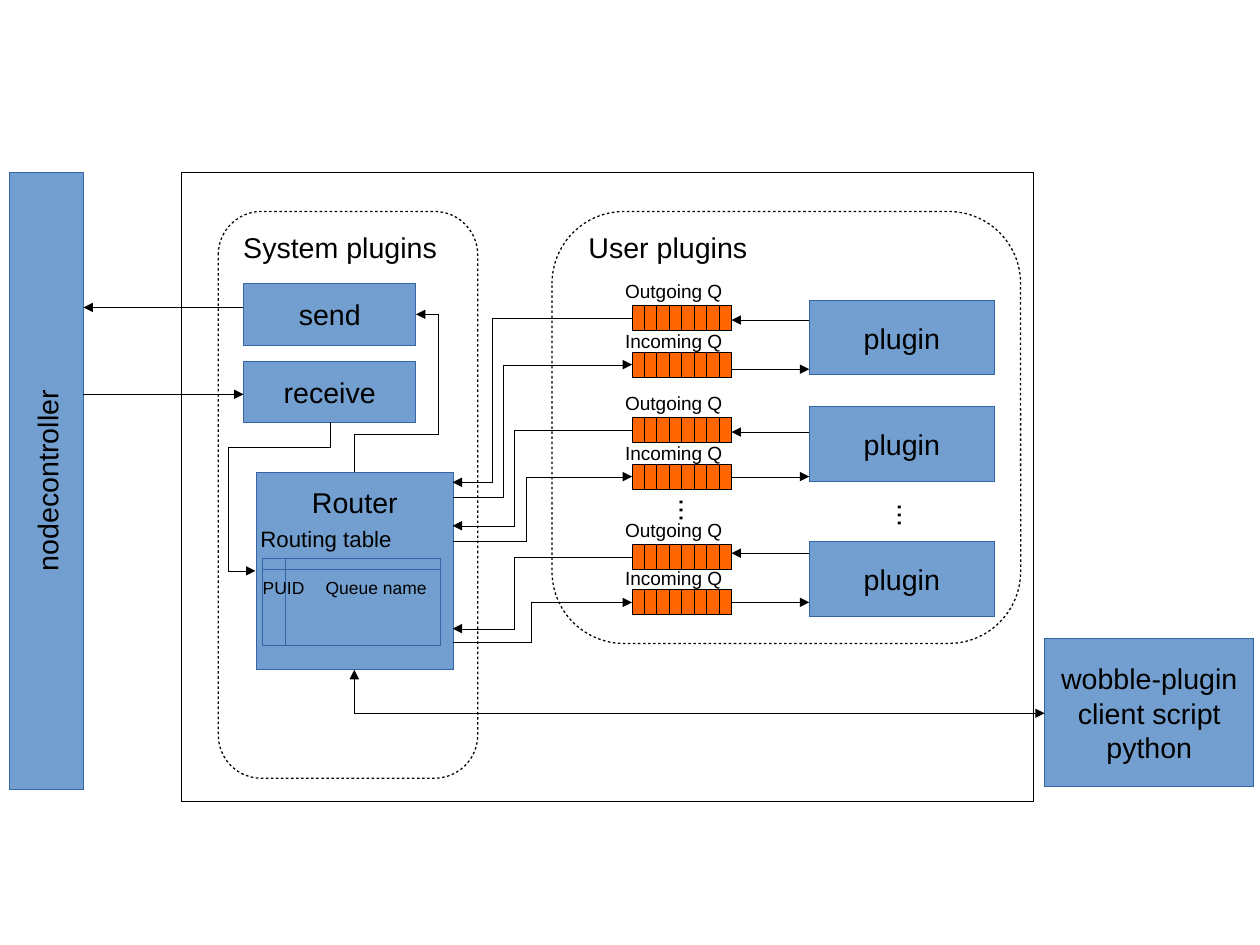
"""Draw the plugin message routing diagram on a grid of tenth-inch columns and rows."""
from dataclasses import dataclass

from lxml.etree import SubElement
from pptx import Presentation
from pptx.dml.color import RGBColor
from pptx.enum.shapes import MSO_CONNECTOR as Connector, MSO_SHAPE as Preset
from pptx.enum.text import MSO_ANCHOR as Anchor, PP_ALIGN as Align
from pptx.oxml.ns import qn
from pptx.util import Cm, Emu, Inches, Pt

BLACK, WHITE, BLUE, NAVY, ORANGE = "000000", "FFFFFF", "729FCF", "3465A4", "FF6600"
ROUTER_RIGHT, QUEUE_LEFT, QUEUE_RIGHT, PLUGIN_LEFT = 39.6, 55.3, 64.0, 70.8
CELLS, CELL_HEIGHT = 8, 2.2
CELL_WIDTH = (QUEUE_RIGHT - QUEUE_LEFT) / CELLS


@dataclass
class Block:
    left: float
    top: float
    width: float
    height: float
    text: str = ""
    fill: str = BLUE
    line: str = NAVY
    preset: Preset = Preset.RECTANGLE
    turn: int = 0
    dashed: bool = False
    anchor: Anchor = Anchor.MIDDLE


@dataclass
class Label:
    left: float
    top: float
    width: float
    height: float
    text: str
    size: int = 18
    turn: int = 0


@dataclass
class Elbow:
    left: float
    top: float
    width: float
    height: float
    preset: str
    turn: int
    flips: str = ""
    bends: tuple[float, ...] = ()
    ends: tuple[str, ...] = ("tailEnd",)


@dataclass
class Arrow:
    start: float
    end: float
    row: float


@dataclass
class Queue:
    name: str
    top: float
    label_rise: float
    lane: float
    router_row: float
    router_end: str
    plugin_arrow: Arrow


FRAMES = [
    Block(15.9, 15.1, 74.5, 55, fill=WHITE, line=BLACK),
    Block(48.3, 18.5, 41, 37.8, fill=WHITE, line=BLACK, preset=Preset.ROUNDED_RECTANGLE, dashed=True),
    Block(19.1, 18.5, 22.7, 49.6, fill=WHITE, line=BLACK, preset=Preset.ROUNDED_RECTANGLE, dashed=True),
]
COMPONENTS = [
    Block(-22.9, 38.8, 54, 6.5, "nodecontroller", turn=270),
    Block(91.4, 55.9, 18.3, 12.9, "wobble-plugin\nclient script\npython"),
    Block(21.3, 24.8, 15.1, 5.4, "send"),
    Block(21.3, 31.6, 15.1, 5.4, "receive"),
    Block(22.4, 41.3, 17.3, 17.3, "Router", anchor=Anchor.TOP),
    Block(23, 48.9, 15.5, 7.6, preset=Preset.FLOWCHART_INTERNAL_STORAGE),
    *(Block(PLUGIN_LEFT, top, 16.2, 6.5, "plugin") for top in (26.3, 35.6, 47.4)),
]
LABELS = [
    Label(20.3, 19.6, 20.4, 4.1, "System plugins"),
    Label(50.5, 19.6, 17.1, 4.1, "User plugins"),
    Label(77.3, 43.2, 4.4, 4.1, "...", turn=90),
    Label(58.2, 42.8, 4.4, 4.1, "...", turn=90),
    Label(21.8, 45.5, 14.6, 3.4, "Routing table", 14),
    Label(27.5, 50, 12.6, 2.9, "Queue name", 11),
    Label(22, 50, 7, 4.1, "PUID", 11),
]


def outgoing(top: float, lane: float, router_row: float, plugin_row: float) -> Queue:
    return Queue("Outgoing Q", top, 2.7, lane, router_row, "tailEnd",
                 Arrow(PLUGIN_LEFT, QUEUE_RIGHT, plugin_row))


def incoming(top: float, lane: float, router_row: float, plugin_row: float) -> Queue:
    return Queue("Incoming Q", top, 2.5, lane, router_row, "headEnd",
                 Arrow(QUEUE_RIGHT, PLUGIN_LEFT, plugin_row))


QUEUES = [
    outgoing(26.7, 43, 42.2, 28), incoming(30.8, 44, 43.5, 32.3),
    outgoing(36.5, 45, 46, 37.8), incoming(40.6, 46, 47.3, 41.7),
    outgoing(47.6, 45, 55, 48.4), incoming(51.6, 46.5, 56.2, 52.7),
]
ELBOWS = [
    Elbow(26.8, 31.7, 13.8, 5.4, "bentConnector4", 90, "HV", (0.24, 1.365)),
    Elbow(19.1, 40.2, 13, 6.5, "bentConnector4", 90, "", (0.167, 1.366)),
    Elbow(31, 58.6, 60.4, 3.8, "bentConnector2", 180, ends=("headEnd", "tailEnd")),
]
CONTROLLER_ARROWS = [Arrow(21.3, 7.3, 26.9), Arrow(7.3, 21.3, 34.5)]


def grid(*lengths: float) -> list[Emu]:
    return [Inches(length / 10) for length in lengths]


def color(code: str) -> RGBColor:
    return RGBColor.from_string(code)


def drop_theme_style(item) -> None:
    item._element.remove(item._element.find(qn("p:style")))


def write(box, text: str, size: int, align: Align) -> None:
    box.text_frame.text = text
    for para in box.text_frame.paragraphs:
        para.alignment = align
        for span in para.runs:
            span.font.name, span.font.size = "Arial", Pt(size)
            span.font.color.rgb = color(BLACK)


def draw_block(page, block: Block) -> None:
    box = page.shapes.add_shape(block.preset, *grid(block.left, block.top, block.width, block.height))
    drop_theme_style(box)
    box.shadow.inherit = False
    box.rotation = block.turn
    box.fill.solid()
    box.fill.fore_color.rgb = color(block.fill)
    box.line.color.rgb = color(block.line)
    box.line.width = Pt(0.79) if block.dashed else Emu(0)
    if block.dashed:
        dashes = SubElement(box.line._get_or_add_ln(), qn("a:custDash"))
        SubElement(dashes, qn("a:ds"), d="200000", sp="200000")
    if block.text:
        write(box, block.text, 18, Align.CENTER)
        box.text_frame.word_wrap = False
        box.text_frame.vertical_anchor = block.anchor
        if block.anchor == Anchor.TOP:
            box.text_frame.margin_top = Inches(0.11)


def draw_label(page, label: Label) -> None:
    box = page.shapes.add_textbox(*grid(label.left, label.top, label.width, label.height))
    box.rotation = label.turn
    box.text_frame.word_wrap = True
    write(box, label.text, label.size, Align.LEFT)


def finish_line(connector, ends: tuple[str, ...]) -> None:
    drop_theme_style(connector)
    connector.line.color.rgb = color(BLACK)
    connector.line.width = Emu(0)
    for end in ends:
        SubElement(connector.line._get_or_add_ln(), qn(f"a:{end}"), type="triangle")
    SubElement(connector._element.spPr, qn("a:effectLst"))


def draw_arrow(page, arrow: Arrow) -> None:
    ends = grid(arrow.start, arrow.row, arrow.end, arrow.row)
    finish_line(page.shapes.add_connector(Connector.STRAIGHT, *ends), ("tailEnd",))


def draw_elbow(page, elbow: Elbow) -> None:
    corners = grid(elbow.left, elbow.top, elbow.left + elbow.width, elbow.top + elbow.height)
    connector = page.shapes.add_connector(Connector.ELBOW, *corners)
    properties = connector._element.spPr
    frame, geometry = properties.find(qn("a:xfrm")), properties.find(qn("a:prstGeom"))
    frame.set("rot", str(elbow.turn * 60000))
    for flip in elbow.flips:
        frame.set(f"flip{flip}", "1")
    geometry.set("prst", elbow.preset)
    for number, bend in enumerate(elbow.bends, 1):
        SubElement(geometry.find(qn("a:avLst")), qn("a:gd"), name=f"adj{number}",
                   fmla=f"val {round(bend * 100000)}")
    finish_line(connector, elbow.ends)


def draw_queue(page, queue: Queue) -> None:
    for cell in range(CELLS):
        draw_block(page, Block(QUEUE_LEFT + cell * CELL_WIDTH, queue.top, CELL_WIDTH, CELL_HEIGHT,
                               fill=ORANGE, line=BLACK))
    draw_label(page, Label(53.7, queue.top - queue.label_rise, 12.9, 3.1, queue.name, 12))
    middle, span = queue.top + CELL_HEIGHT / 2, QUEUE_LEFT - ROUTER_RIGHT
    draw_elbow(page, Elbow(ROUTER_RIGHT, middle, span, queue.router_row - middle, "bentConnector3", 180,
                           "V", ((QUEUE_LEFT - queue.lane) / span,), (queue.router_end,)))
    draw_arrow(page, queue.plugin_arrow)


def main() -> None:
    deck = Presentation()
    deck.slide_width = Cm(28)
    deck.slide_height = Cm(21)
    page = deck.slides.add_slide(deck.slide_layouts[6])
    for block in FRAMES + COMPONENTS:
        draw_block(page, block)
    for queue in QUEUES:
        draw_queue(page, queue)
    for label in LABELS:
        draw_label(page, label)
    for elbow in ELBOWS:
        draw_elbow(page, elbow)
    for arrow in CONTROLLER_ARROWS:
        draw_arrow(page, arrow)
    deck.save("out.pptx")


if __name__ == "__main__":
    main()
